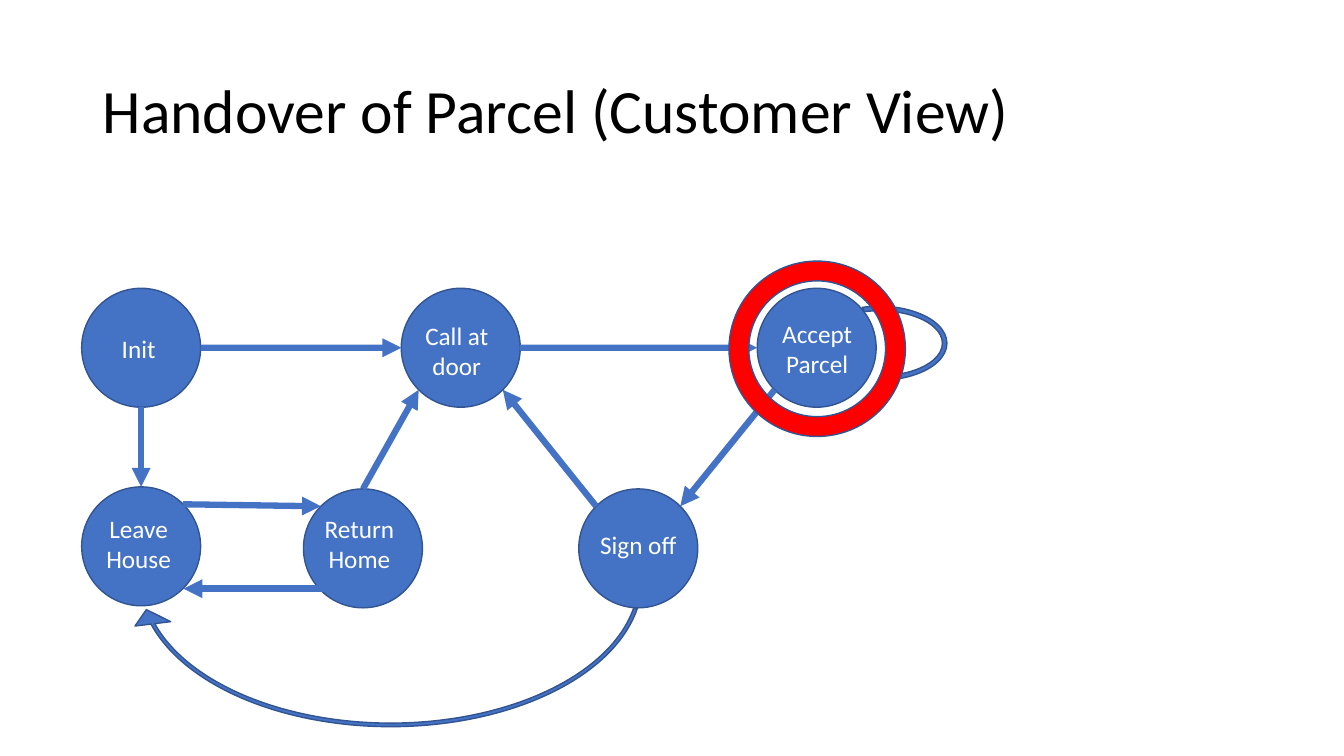
from math import cos, radians, sin

from lxml import etree
from pptx import Presentation
from pptx import util as u
from pptx.dml.color import RGBColor
from pptx.enum import shapes, text
from pptx.oxml.ns import qn

THEME = {
    "font": "Calibri", "title_size": 44, "label_size": 18,
    "title": "000000", "label": "FFFFFF",
    "state": "4472C4", "outline": "325491", "final": "FF0000",
    "outline_width": 1, "arrow_width": 4.5,
}
TITLE = ("Handover of Parcel (Customer View)", (0.92, 0.4, 11.5, 1.45))
DIAMETER = 1.18

# state: (left, top) of its circle, (left, top, width, height) of its label
STATES = {
    "Init": ((0.81, 2.86), (0.63, 3.26, 1.49, 0.4)),
    "Call at door": ((3.98, 2.86), (3.94, 3.13, 1.18, 0.71)),
    "Accept Parcel": ((7.51, 2.86), (7.45, 3.11, 1.31, 0.71)),
    "Leave House": ((0.81, 4.83), (0.86, 5.04, 1.03, 0.71)),
    "Return Home": ((3.01, 4.85), (3.05, 5.04, 1.03, 0.71)),
    "Sign off": ((5.74, 4.85), (5.74, 5.2, 1.18, 0.4)),
}
# Points on a circle, in degrees clockwise from the right
ANGLES = {"right": 0, "bottom right": 45, "bottom": 90, "bottom left": 135,
          "left": 180, "top left": 225, "top": 270, "top right": 315}
TRANSITIONS = [
    ("Init", "right", "Call at door", "left"),
    ("Call at door", "right", "Accept Parcel", "left"),
    ("Init", "bottom", "Leave House", "top"),
    ("Leave House", "top right", "Return Home", "top left"),
    ("Return Home", "top", "Call at door", "bottom left"),
    ("Sign off", "top left", "Call at door", "bottom right"),
    ("Accept Parcel", "bottom left", "Sign off", "top right"),
]
RETURN_ARROW = ((3.4, 5.84), (1.82, 5.84))
# frame, rotation, (thickness, head angle, end angle, start angle, head width)
CURVED_ARROWS = [
    ((8.26, 2.64, 0.92, 1.53), 270, (0.049, 11.423, 203.017, 92.887, 0.125)),
    ((1.22, 4.13, 5.31, 3.24), 0, (0.011, 2.126, 209.667, 112.028, 0.055)),
]
FINAL_RING = ((7.23, 2.59, 1.75, 1.74), 0.113)


def inches(values):
    return [u.Inches(value) for value in values]


def add_filled(slide, kind, frame, color):
    shape = slide.shapes.add_shape(kind, *inches(frame))
    shape.shadow.inherit = False
    shape.fill.solid()
    shape.fill.fore_color.rgb = RGBColor.from_string(color)
    shape.line.color.rgb = RGBColor.from_string(THEME["outline"])
    shape.line.width = u.Pt(THEME["outline_width"])
    return shape


def add_text(slide, words, frame, role):
    box = slide.shapes.add_textbox(*inches(frame))
    box.text_frame.word_wrap = True
    box.text_frame.text = words
    paragraph = box.text_frame.paragraphs[0]
    font = paragraph.runs[0].font
    font.name = THEME["font"]
    font.size = u.Pt(THEME[role + "_size"])
    font.color.rgb = RGBColor.from_string(THEME[role])
    return box.text_frame, paragraph


def circle_point(state, side):
    left, top = STATES[state][0]
    radius, angle = DIAMETER / 2, radians(ANGLES[side])
    return left + radius * (1 + cos(angle)), top + radius * (1 + sin(angle))


def add_arrow(slide, start, end):
    arrow = slide.shapes.add_connector(
        shapes.MSO_CONNECTOR.STRAIGHT, *inches((*start, *end)))
    arrow.line.color.rgb = RGBColor.from_string(THEME["state"])
    arrow.line.width = u.Pt(THEME["arrow_width"])
    properties = arrow._element.spPr
    etree.SubElement(properties.find(qn("a:ln")), qn("a:tailEnd"), type="triangle")
    etree.SubElement(properties, qn("a:effectLst"))
    return arrow


def add_curved_arrow(slide, frame, rotation, adjustments):
    shape = add_filled(slide, shapes.MSO_SHAPE.CIRCULAR_ARROW, frame, THEME["state"])
    shape.rotation = rotation
    for flip in ("flipH", "flipV"):
        shape._element.spPr.find(qn("a:xfrm")).set(flip, "1")
    for index, value in enumerate(adjustments):
        shape.adjustments[index] = value


def main():
    presentation = Presentation()
    presentation.slide_width, presentation.slide_height = inches((13.33, 7.5))
    slide = presentation.slides.add_slide(presentation.slide_layouts[6])

    frame, paragraph = add_text(slide, *TITLE, "title")
    frame.vertical_anchor = text.MSO_ANCHOR.MIDDLE
    paragraph.line_spacing = 0.9

    circles = {
        state: add_filled(slide, shapes.MSO_SHAPE.OVAL,
                          (*corner, DIAMETER, DIAMETER), THEME["state"])
        for state, (corner, _) in STATES.items()
    }
    for source, source_side, target, target_side in TRANSITIONS:
        arrow = add_arrow(slide, circle_point(source, source_side),
                          circle_point(target, target_side))
        if source_side == "top":
            arrow.begin_connect(circles[source], 0)
        if target_side == "top":
            arrow.end_connect(circles[target], 0)
    add_arrow(slide, *RETURN_ARROW)
    for curved_arrow in CURVED_ARROWS:
        add_curved_arrow(slide, *curved_arrow)

    for state, (_, label_frame) in STATES.items():
        _, paragraph = add_text(slide, state, label_frame, "label")
        paragraph.alignment = text.PP_ALIGN.CENTER

    ring_frame, thickness = FINAL_RING
    ring = add_filled(slide, shapes.MSO_SHAPE.DONUT, ring_frame, THEME["final"])
    ring.adjustments[0] = thickness
    presentation.save("out.pptx")


if __name__ == "__main__":
    main()
